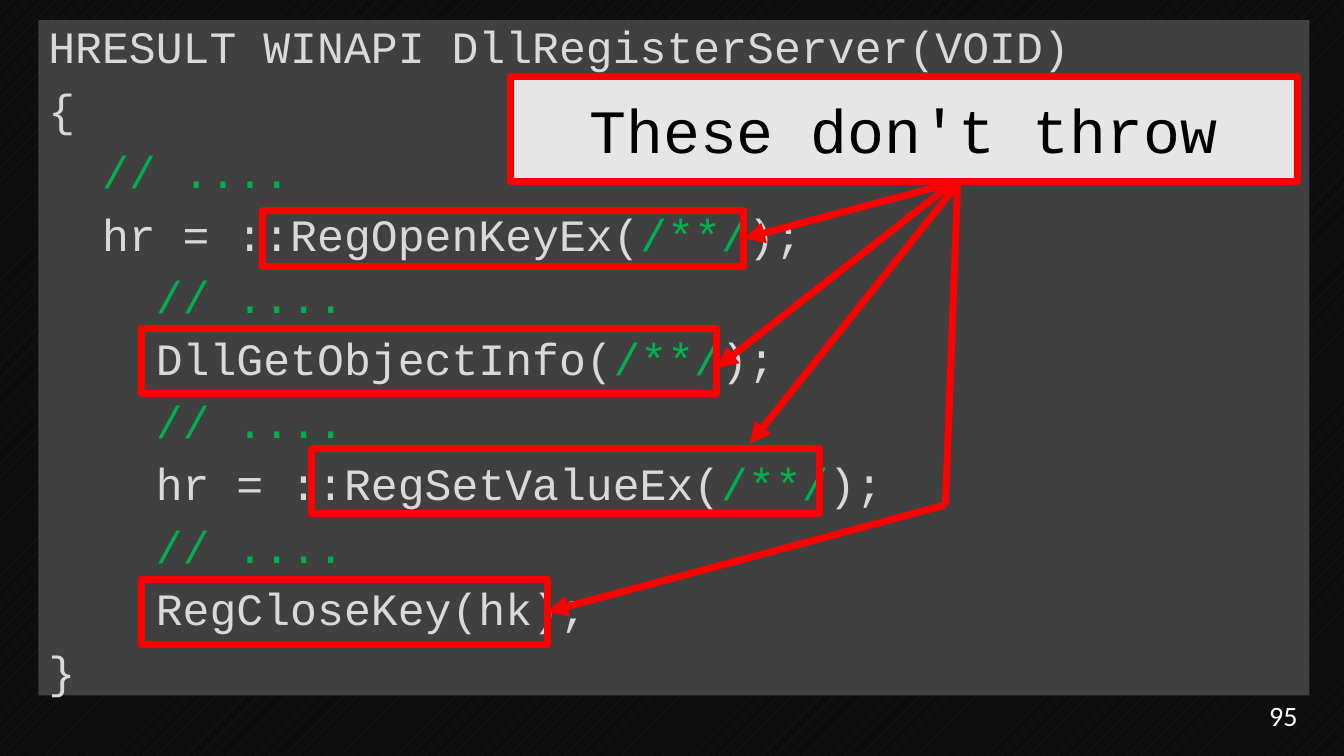
import pptx
import pptx.util
import pptx.dml.color
import pptx.enum.dml
import pptx.enum.shapes
import pptx.enum.text
import pptx.oxml.ns
import lxml.etree

Pt = pptx.util.Pt
ALIGN = pptx.enum.text.PP_ALIGN
ANCHOR = pptx.enum.text.MSO_ANCHOR
RED, GREEN, PALE = "FF0000", "00B050", "D9D9D9"
MONO = "Courier New"

# Each line of code is split into (text, colour) runs
DOTS = ("// ....", GREEN)
ARGS = ("/**/", GREEN)
END = (");", PALE)
CODE = [
    [("HRESULT WINAPI DllRegisterServer(VOID)", PALE)],
    [("{", PALE)],
    [("  ", PALE), DOTS],
    [("  hr = ::RegOpenKeyEx(", PALE), ARGS, END],
    [("    ", PALE), DOTS],
    [("    DllGetObjectInfo(", PALE), ARGS, END],
    [("    ", PALE), DOTS],
    [("    hr = ::RegSetValueEx(", PALE), ARGS, END],
    [("    ", PALE), DOTS],
    [("    RegCloseKey(hk);", PALE)],
    [("}", PALE)],
]


def color(code):
    return pptx.dml.color.RGBColor.from_string(code)


def style(run, size, font, code):
    run.font.size = Pt(size)
    run.font.name = font
    run.font.color.rgb = color(code)


def add_rect(slide, left, top, width, height, fill=None, line=None):
    rect = slide.shapes.add_shape(
        pptx.enum.shapes.MSO_SHAPE.RECTANGLE,
        Pt(left), Pt(top), Pt(width), Pt(height))
    rect.shadow.inherit = False
    if fill:
        rect.fill.solid()
        rect.fill.fore_color.rgb = color(fill)
    else:
        rect.fill.background()
    if line:
        rect.line.color.rgb = color(line)
        rect.line.width = Pt(5)
    else:
        rect.line.fill.background()
    return rect


def add_line(slide, start, end, target=None, arrow=True):
    line = slide.shapes.add_connector(
        pptx.enum.shapes.MSO_CONNECTOR.STRAIGHT,
        *[Pt(value) for value in start + end])
    line.line.color.rgb = color(RED)
    line.line.width = Pt(5)
    if target is not None:
        line.end_connect(target, 3)
    if arrow:
        lxml.etree.SubElement(line.line._get_or_add_ln(),
                              pptx.oxml.ns.qn("a:tailEnd"), type="triangle")
    lxml.etree.SubElement(line._element.spPr, pptx.oxml.ns.qn("a:effectLst"))


def set_text(shape, text, size, font, code, align):
    frame = shape.text_frame
    frame.word_wrap = True
    frame.vertical_anchor = ANCHOR.MIDDLE
    frame.text = text
    para = frame.paragraphs[0]
    para.alignment = align
    style(para.runs[0], size, font, code)


def add_code(slide):
    panel = add_rect(slide, 27.4, 14.4, 907.9, 482.4, "404040")
    frame = panel.text_frame
    frame.word_wrap = True
    frame.vertical_anchor = ANCHOR.TOP
    for index, parts in enumerate(CODE):
        para = frame.add_paragraph() if index else frame.paragraphs[0]
        para.alignment = ALIGN.LEFT
        para.line_spacing = 0.9
        para.space_before = Pt(10)
        for text, code in parts:
            run = para.add_run()
            run.text = text
            style(run, 32, MONO, code)


def main():
    deck = pptx.Presentation()
    deck.slide_width, deck.slide_height = Pt(960), Pt(540)
    slide = deck.slides.add_slide(deck.slide_layouts[6])

    # Background
    back = slide.background.fill
    back.patterned()
    back.pattern = pptx.enum.dml.MSO_PATTERN.PERCENT_5
    back.fore_color.rgb = color("262626")
    back.back_color.rgb = color("0D0D0D")

    # Slide number
    number = slide.shapes.add_textbox(Pt(852.5), Pt(496.8), Pt(81.4), Pt(28.8))
    set_text(number, "95", 20, "Calibri", "FFFFFF", ALIGN.RIGHT)

    # Code panel and frames around the calls
    add_code(slide)
    opened = add_rect(slide, 187.2, 150.5, 344.2, 39.6, line=RED)
    add_rect(slide, 100.8, 234.7, 411.1, 46.1, line=RED)
    add_rect(slide, 222.5, 320.4, 362.9, 46.1, line=RED)
    closed = add_rect(slide, 100.8, 414, 290.2, 46.1, line=RED)

    # Callout
    callout = add_rect(slide, 364.3, 54.7, 562.3, 74.9, "E7E6E6", RED)
    set_text(callout, "These don't throw", 44, MONO, "000000", ALIGN.CENTER)

    # Arrows from the callout to the calls
    add_line(slide, (684, 129.6), (531.4, 169.2), opened)
    add_line(slide, (678.2, 132.5), (511.9, 262.8))
    add_line(slide, (682.6, 133.2), (535.7, 316.8))
    add_line(slide, (684, 132.5), (675.4, 360.4), arrow=False)
    add_line(slide, (675.4, 360.7), (391.7, 437), closed)

    deck.save("out.pptx")


if __name__ == "__main__":
    main()
